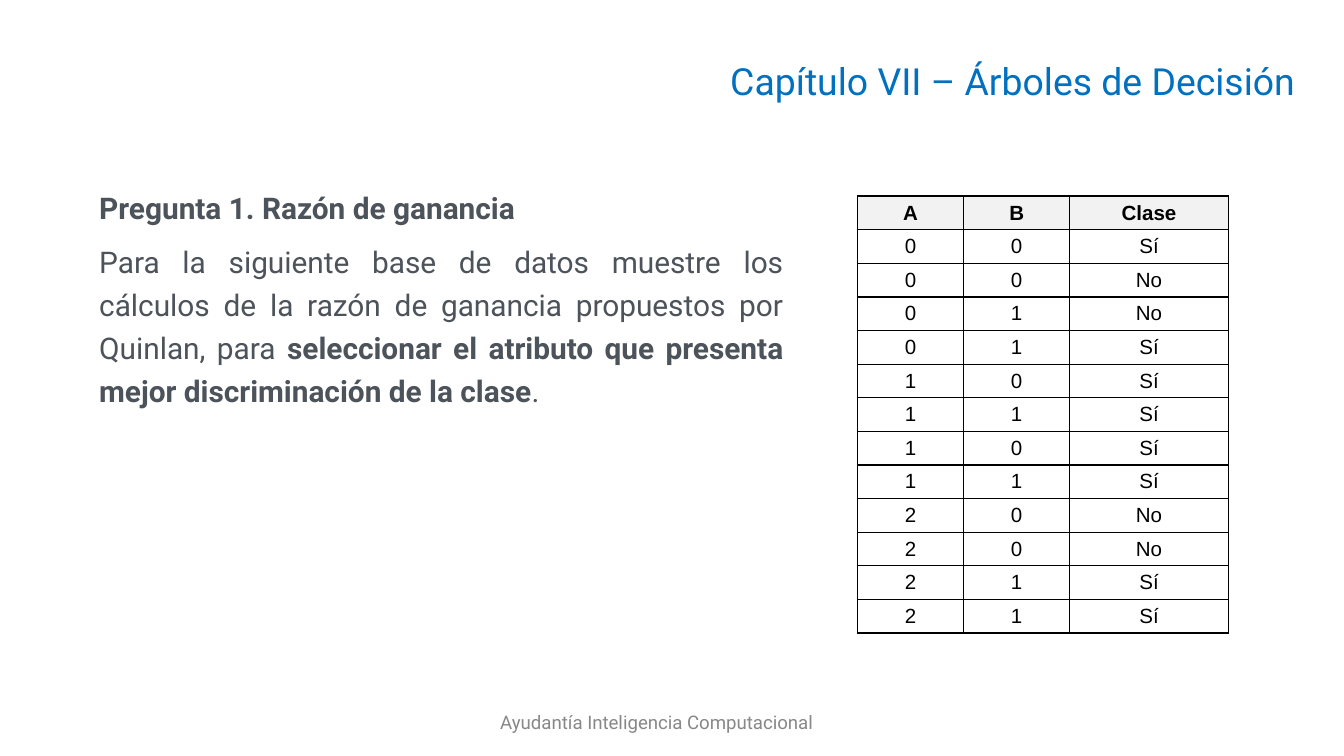
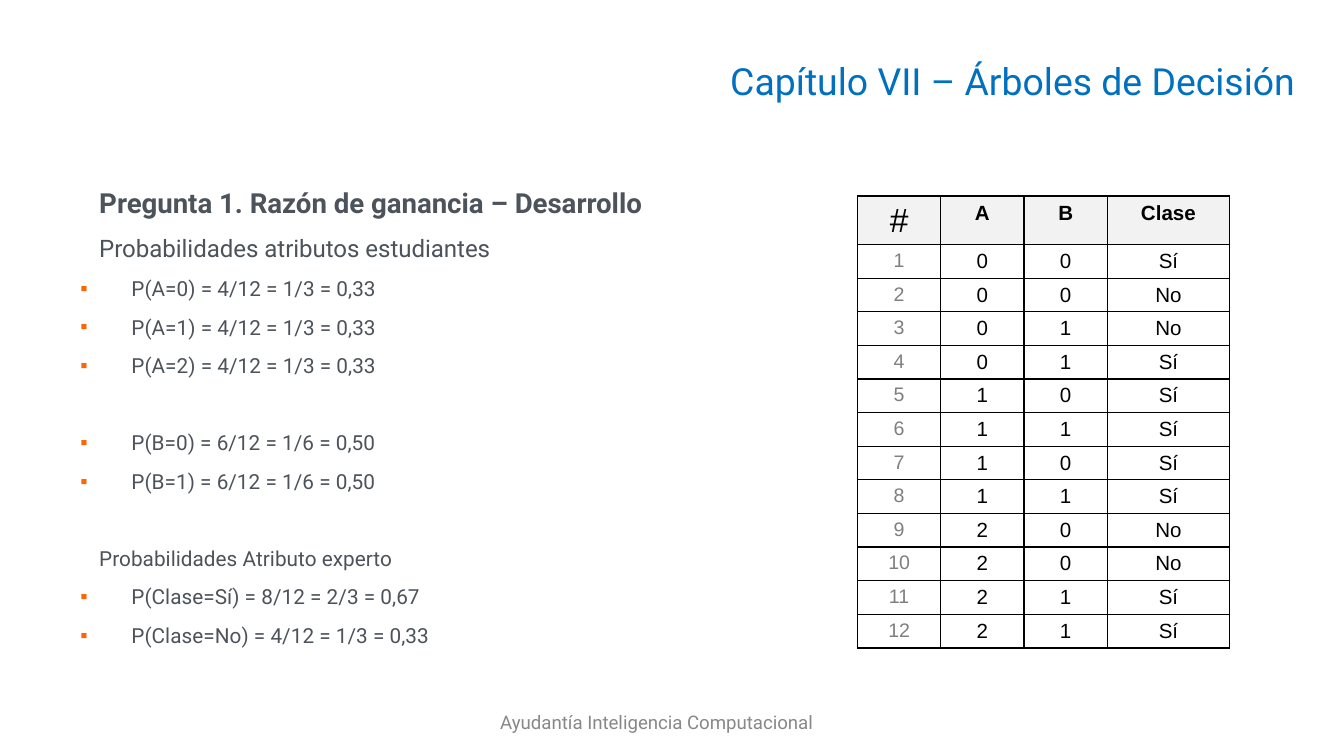
"""Build two slides on the gain ratio of a small decision-tree data set."""
from dataclasses import dataclass
from typing import Any

from lxml.etree import SubElement
from pptx import Presentation
from pptx.dml.color import RGBColor
from pptx.enum.text import MSO_ANCHOR as Anchor, MSO_AUTO_SIZE as AutoSize, PP_ALIGN as Align
from pptx.oxml import parse_xml
from pptx.oxml.ns import nsdecls, qn
from pptx.util import Inches, Pt

BLUE, SLATE, GREY = "0070C0", "4D535B", "888888"
BLACK, INDEX_GREY, HEADER_FILL, ORANGE = "000000", "7F7F7F", "F2F2F2", "FF6600"
ROBOTO, ARIAL = "Roboto", "Arial"
CHAPTER = "Capítulo VII – Árboles de Decisión"
FOOTER = "Ayudantía Inteligencia Computacional"

SLIDE_W = Inches(10)
SLIDE_H = SLIDE_W * 9 // 16
GAP, SECTION_GAP = 6, 26.6
ROW_H, HASH_ROW_H = 0.25, 0.36
THIN, THICK = 0.75, 1.5
HEADER = ("A", "B", "Clase")
DATA = [tuple(row.split()) for row in (
    "0 0 Sí", "0 0 No", "0 1 No", "0 1 Sí", "1 0 Sí", "1 1 Sí",
    "1 0 Sí", "1 1 Sí", "2 0 No", "2 0 No", "2 1 Sí", "2 1 Sí")]


@dataclass(frozen=True)
class Box:
    """Position and size in inches."""
    left: float
    top: float
    width: float
    height: float

    def lengths(self) -> tuple:
        """Return the four values as lengths."""
        return tuple(Inches(v) for v in (self.left, self.top, self.width, self.height))


@dataclass(frozen=True)
class Run:
    """A stretch of text with its format."""
    text: str
    size: float
    bold: bool = False
    color: str = SLATE
    font: str = ROBOTO


@dataclass(frozen=True)
class Para:
    """A paragraph made of runs."""
    runs: tuple
    before: float = GAP
    spacing: float = 1.0
    align: Any = Align.JUSTIFY
    bullet: bool = False
    indent: float = 0


TITLE_BOX = Box(2.09, 0.29, 7.65, 0.62)
FOOTER_BOX = Box(2.05, 5.18, 5.67, 0.39)
TABLE_LEFT, TABLE_TOP = 6.38, 1.46


def rgb(color: str) -> RGBColor:
    """Turn a hex string into a colour."""
    return RGBColor.from_string(color)


def set_all(obj: Any, values: dict) -> None:
    """Set attributes from a dict of format values."""
    for name, value in values.items():
        setattr(obj, name, value)


def add_bullet(pPr: Any) -> None:
    """Give a paragraph an orange square bullet."""
    SubElement(SubElement(pPr, qn("a:buClr")), qn("a:srgbClr")).set("val", ORANGE)
    SubElement(pPr, qn("a:buFont")).set("typeface", ARIAL)
    SubElement(pPr, qn("a:buChar")).set("char", "▪")


def write_para(p: Any, para: Para) -> None:
    """Write one paragraph with its runs."""
    set_all(p, {"alignment": para.align, "line_spacing": para.spacing,
                "space_before": Pt(para.before)})
    pPr = p._p.get_or_add_pPr()
    left, first = (0.38, -0.38) if para.bullet else (para.indent, 0)
    pPr.set("marL", str(Inches(left)))
    pPr.set("indent", str(Inches(first)))
    if para.bullet:
        add_bullet(pPr)
    for run in para.runs:
        r = p.add_run()
        r.text = run.text
        set_all(r.font, {"size": Pt(run.size), "bold": run.bold, "name": run.font})
        r.font.color.rgb = rgb(run.color)


def write_frame(tf: Any, paras: list, anchor: Any = Anchor.TOP) -> None:
    """Fill a text frame with paragraphs."""
    set_all(tf, {"word_wrap": True, "auto_size": AutoSize.NONE, "vertical_anchor": anchor,
                 "margin_left": Inches(0.1), "margin_right": Inches(0.1),
                 "margin_top": Inches(0.05), "margin_bottom": Inches(0.05)})
    for i, para in enumerate(paras):
        write_para(tf.add_paragraph() if i else tf.paragraphs[0], para)


def add_text(slide: Any, box: Box, paras: list, anchor: Any = Anchor.TOP) -> None:
    """Add a text box."""
    write_frame(slide.shapes.add_textbox(*box.lengths()).text_frame, paras, anchor)


def add_slide(prs: Any) -> Any:
    """Add a slide with the chapter title."""
    slide = prs.slides.add_slide(prs.slide_layouts[5])
    title = slide.shapes.title
    set_all(title, dict(zip(("left", "top", "width", "height"), TITLE_BOX.lengths())))
    title_run = Run(CHAPTER, 20, color=BLUE)
    write_frame(title.text_frame, [Para((title_run,), 0, align=Align.RIGHT)], Anchor.MIDDLE)
    return slide


def add_footer(slide: Any) -> None:
    """Add the course name at the foot."""
    run = Run(FOOTER, 10, color=GREY)
    add_text(slide, FOOTER_BOX, [Para((run,), 0, align=Align.CENTER)], Anchor.MIDDLE)


def set_borders(cell: Any, top: float, bottom: float) -> None:
    """Draw the four black borders of a cell."""
    tcPr = cell._tc.get_or_add_tcPr()
    for i, (side, width) in enumerate(zip("LRTB", (THIN, THIN, top, bottom))):
        tcPr.insert(i, parse_xml(
            f'<a:ln{side} {nsdecls("a")} w="{Pt(width)}"><a:solidFill>'
            f'<a:srgbClr val="{BLACK}"/></a:solidFill></a:ln{side}>'))


def cell_run(text: str, is_header: bool, is_index: bool) -> Run:
    """Choose the format of a table cell."""
    if is_index:
        size, color = (18, BLACK) if is_header else (10.5, INDEX_GREY)
        return Run(text, size, color=color, font=ARIAL)
    return Run(text, 11, is_header, BLACK, ARIAL)


def add_data_table(slide: Any, widths: list, numbered: bool = False) -> None:
    """Add the data set, with row numbers if asked."""
    rows = [HEADER, *DATA]
    if numbered:
        rows = [(str(i) if i else "#", *row) for i, row in enumerate(rows)]
    heights = [HASH_ROW_H if numbered else ROW_H] + [ROW_H] * len(DATA)
    box = Box(TABLE_LEFT, TABLE_TOP, sum(widths), sum(heights))
    table = slide.shapes.add_table(len(rows), len(widths), *box.lengths()).table
    set_all(table, {"first_row": False, "horz_banding": False})
    for column, width in zip(table.columns, widths):
        column.width = Inches(width)
    for i, (row, height) in enumerate(zip(rows, heights)):
        table.rows[i].height = Inches(height)
        for j, text in enumerate(row):
            cell = table.cell(i, j)
            set_all(cell, {"margin_left": Inches(0.08), "margin_right": Inches(0.08),
                           "margin_top": Inches(0.04), "margin_bottom": Inches(0.03)})
            if i:
                cell.fill.background()
            else:
                cell.fill.solid()
                cell.fill.fore_color.rgb = rgb(HEADER_FILL)
            set_borders(cell, THIN if i else THICK, THICK if i == len(DATA) else THIN)
            run = cell_run(text, i == 0, numbered and j == 0)
            write_para(cell.text_frame.paragraphs[0], Para((run,), 0, align=Align.CENTER))


def body_para(*runs: Run, before: float = GAP, spacing: float = 1.1,
              bullet: bool = False) -> Para:
    """Make a justified body paragraph."""
    return Para(runs, before, spacing, bullet=bullet, indent=0.14)


def formulas(*lines: str, before: float = GAP) -> list:
    """Make a bulleted group whose first line has its own gap."""
    return [body_para(Run(line, 11.1), before=GAP if i else before, bullet=True)
            for i, line in enumerate(lines)]


def question_slide(prs: Any) -> None:
    """Build the slide that sets the question."""
    slide = add_slide(prs)
    add_text(slide, Box(0.5, 1.31, 5.43, 3.71), [
        body_para(Run("Pregunta 1. Razón de ganancia", 16, True), before=0, spacing=1.2),
        body_para(
            Run("Para la siguiente base de datos muestre los cálculos de la razón de "
                "ganancia propuestos por Quinlan, para ", 16),
            Run("seleccionar el atributo que presenta mejor discriminación de la clase",
                16, True),
            Run(".", 16), spacing=1.2)])
    add_data_table(slide, [0.79, 0.79, 1.18])
    add_footer(slide)


def solution_slide(prs: Any) -> None:
    """Build the slide that works out the probabilities."""
    slide = add_slide(prs)
    add_text(slide, Box(0.5, 1.31, 9, 3.71), [
        body_para(Run("Pregunta 1. Razón de ganancia – Desarrollo", 14.8, True), before=0),
        body_para(Run("Probabilidades atributos estudiantes", 12.9)),
        *formulas("P(A=0) = 4/12 = 1/3 = 0,33", "P(A=1) = 4/12 = 1/3 = 0,33",
                  "P(A=2) = 4/12 = 1/3 = 0,33"),
        *formulas("P(B=0) = 6/12 = 1/6 = 0,50", "P(B=1) = 6/12 = 1/6 = 0,50",
                  before=SECTION_GAP),
        body_para(Run("Probabilidades Atributo experto", 11.1), before=SECTION_GAP),
        *formulas("P(Clase=Sí) = 8/12 = 2/3 = 0,67", "P(Clase=No) = 4/12 = 1/3 = 0,33")])
    add_data_table(slide, [0.62, 0.62, 0.62, 0.91], numbered=True)
    add_footer(slide)


def main() -> None:
    """Build and save the presentation."""
    prs = Presentation()
    set_all(prs, {"slide_width": SLIDE_W, "slide_height": SLIDE_H})
    question_slide(prs)
    solution_slide(prs)
    prs.save("out.pptx")


if __name__ == "__main__":
    main()
